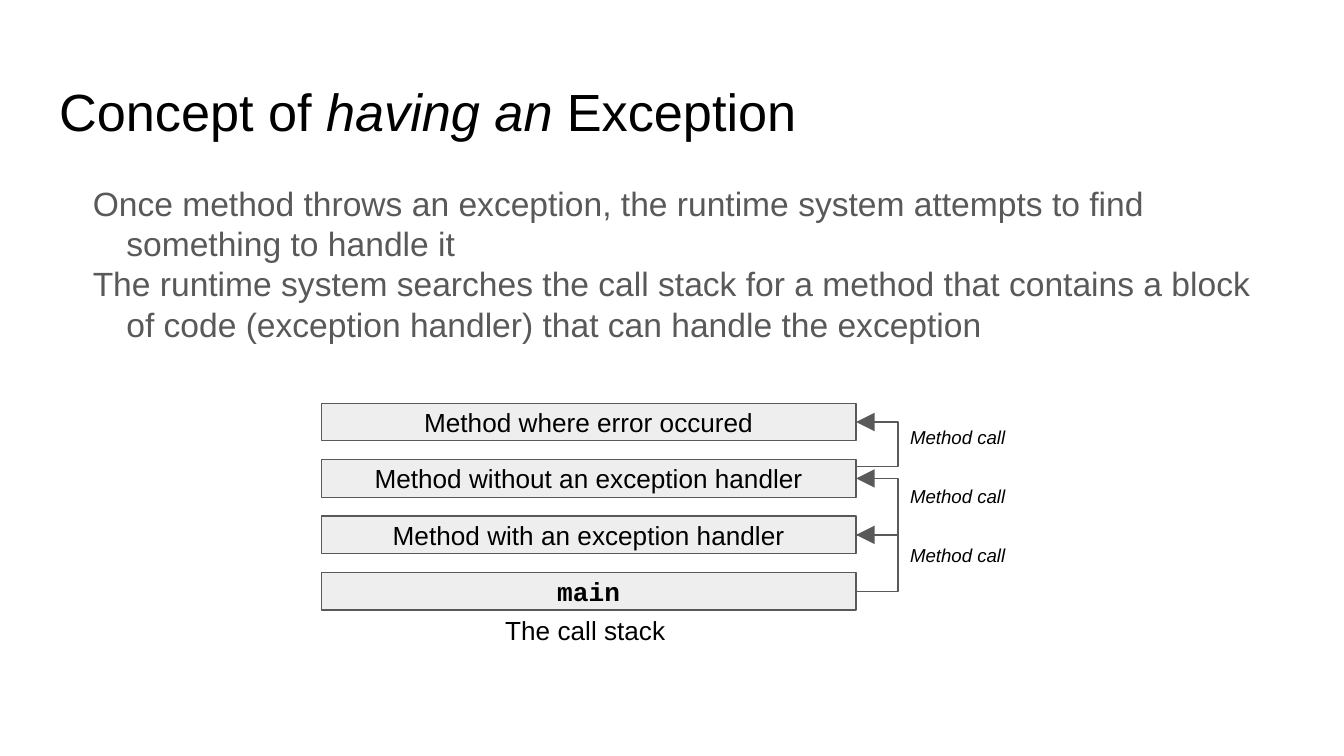
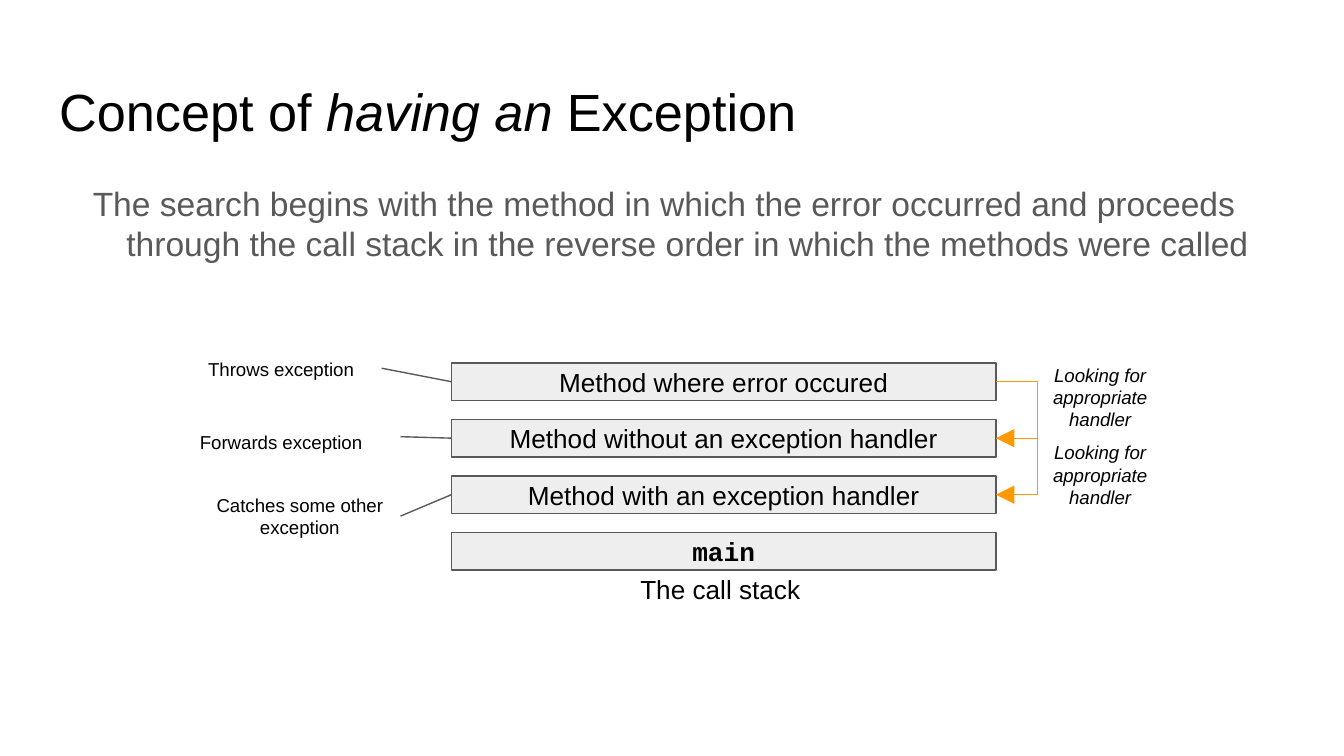
"""Build two slides on how the call stack is searched for an exception handler."""
from pptx import Presentation
from pptx.dml.color import RGBColor
from pptx.enum.shapes import MSO_CONNECTOR as Connector, MSO_SHAPE as Shape
from pptx.enum.text import MSO_ANCHOR as Anchor, PP_ALIGN as Align
from pptx.oxml.ns import qn
from pptx.util import Emu, Inches, Pt

BLACK = RGBColor(0x00, 0x00, 0x00)
GRAY = RGBColor(0x59, 0x59, 0x59)
LIGHT_GRAY = RGBColor(0xEE, 0xEE, 0xEE)
ORANGE = RGBColor(0xFF, 0x99, 0x00)

COLUMN, ROW = Inches(0.1), Inches(0.14)
MARGIN, CONTENT_WIDTH = 3.4, 93.2
BOX_HEIGHT, BOX_STEP = 2, 3
ELBOW_WIDTH, ELBOW_REACH = Emu(600), Inches(0.26)

TITLE = [("Concept of ", False), ("having an", True), (" Exception", False)]
METHODS = [
    ("Method where error occured", "Arial", False),
    ("Method without an exception handler", "Arial", False),
    ("Method with an exception handler", "Arial", False),
    ("main", "Courier New", True),
]
LOOKING = "Looking for appropriate handler"
SLIDES = [
    {
        "body": [
            "Once method throws an exception, the runtime system attempts to find "
            "something to handle it",
            "The runtime system searches the call stack for a method that contains a block "
            "of code (exception handler) that can handle the exception",
        ],
        "body_rows": 31.14,
        "stack": (23.9, 21.43, 39.8),
        "caption": (34, 19.1),
        "elbow_color": GRAY,
        "elbows": [(7, 4), (3.36, 1), (10, 7)],
        "labels": [("Method call", True, 66.4, 22.21 + 3.14 * i, 9.7) for i in range(3)],
        "pointers": [],
    },
    {
        "body": [
            "The search begins with the method in which the error occurred and proceeds "
            "through the call stack in the reverse order in which the methods were called",
        ],
        "body_rows": 6.64,
        "stack": (33.6, 19.29, 40.5),
        "caption": (43.9, 19.4),
        "elbow_color": ORANGE,
        "elbows": [(1, 4), (4, 7)],
        "labels": [
            (LOOKING, True, 76.9, 20.07, 9.9),
            (LOOKING, True, 76.9, 24.2, 9.9),
            ("Throws exception", False, 13.3, 18.6, 15.2),
            ("Forwards exception", False, 13.3, 22.45, 15.2),
            ("Catches some other exception", False, 14.7, 26.4, 15.2),
        ],
        "pointers": [(28.4, 19.57, 1), (29.8, 23.21, 4), (29.8, 27.43, 7)],
    },
]


def write(shape, text, size, font="Arial", bold=False, italic=False):
    frame = shape.text_frame
    frame.word_wrap = True
    frame.vertical_anchor = Anchor.MIDDLE
    frame.margin_left = frame.margin_right = COLUMN
    frame.margin_top = frame.margin_bottom = COLUMN
    paragraph = frame.paragraphs[0]
    paragraph.alignment = Align.CENTER
    run = paragraph.add_run()
    run.text = text
    run.font.name, run.font.size = font, Pt(size)
    run.font.bold, run.font.italic = bold, italic
    run.font.color.rgb = BLACK


def connect(slide, kind, start, end, color):
    (x1, y1), (x2, y2) = start, end
    connector = slide.shapes.add_connector(
        kind, int(COLUMN * x1), int(ROW * y1), int(COLUMN * x2), int(ROW * y2)
    )
    connector.line.color.rgb = color
    connector.line.width = Pt(0.75)
    properties = connector.element.spPr
    properties.append(properties.makeelement(qn("a:effectLst"), {}))
    return connector


presentation = Presentation()
presentation.slide_width = Inches(10)
presentation.slide_height = presentation.slide_width * 9 // 16

for content in SLIDES:
    slide = presentation.slides.add_slide(presentation.slide_layouts[1])
    title, body = slide.shapes.title, slide.placeholders[1]

    for placeholder, top, rows in ((title, 3.5, 4.5), (body, 9, content["body_rows"])):
        placeholder.left, placeholder.width = int(COLUMN * MARGIN), int(COLUMN * CONTENT_WIDTH)
        placeholder.top, placeholder.height = int(ROW * top), int(ROW * rows)
        frame = placeholder.text_frame
        frame.word_wrap = True
        frame.vertical_anchor = Anchor.TOP
        frame.margin_left = frame.margin_right = COLUMN
        frame.margin_top = frame.margin_bottom = COLUMN

    paragraph = title.text_frame.paragraphs[0]
    paragraph.alignment = Align.LEFT
    paragraph.line_spacing = 1.0
    for text, italic in TITLE:
        run = paragraph.add_run()
        run.text = text
        run.font.name, run.font.size, run.font.italic = "Arial", Pt(28), italic
        run.font.color.rgb = BLACK

    for index, text in enumerate(content["body"]):
        frame = body.text_frame
        paragraph = frame.add_paragraph() if index else frame.paragraphs[0]
        paragraph.line_spacing, paragraph.space_before = 1.0, Pt(0)
        properties = paragraph._p.get_or_add_pPr()
        properties.set("marL", str(Inches(0.5)))
        properties.set("indent", str(Inches(-0.25)))
        properties.append(properties.makeelement(qn("a:buNone"), {}))
        run = paragraph.add_run()
        run.text = text
        run.font.name, run.font.size = "Arial", Pt(18)
        run.font.color.rgb = GRAY

    left, top, width = content["stack"]
    for index, (text, font, bold) in enumerate(METHODS):
        box = slide.shapes.add_shape(
            Shape.RECTANGLE, int(COLUMN * left), int(ROW * (top + BOX_STEP * index)),
            int(COLUMN * width), int(ROW * BOX_HEIGHT),
        )
        box.shadow.inherit = False
        box.fill.solid()
        box.fill.fore_color.rgb = LIGHT_GRAY
        box.line.color.rgb = GRAY
        box.line.width = Pt(0.75)
        write(box, text, 14, font, bold)

    right = left + width
    for start, end in content["elbows"]:
        elbow = connect(
            slide, Connector.ELBOW, (right, top + start), (right, top + end),
            content["elbow_color"],
        )
        elbow.width = ELBOW_WIDTH
        guides = elbow.element.spPr.find(qn("a:prstGeom")).get_or_add_avLst()
        reach = round(ELBOW_REACH / ELBOW_WIDTH * 100000)
        guides.append(guides.makeelement(qn("a:gd"), {"name": "adj1", "fmla": f"val {reach}"}))
        line = elbow.line._get_or_add_ln()
        line.append(line.makeelement(qn("a:tailEnd"), {"type": "triangle", "w": "lg", "len": "lg"}))

    caption_left, caption_width = content["caption"]
    caption = slide.shapes.add_textbox(
        int(COLUMN * caption_left), int(ROW * (top + 11.57)), int(COLUMN * caption_width), int(ROW * 0.93)
    )
    write(caption, "The call stack", 14)

    for text, italic, label_left, label_top, label_width in content["labels"]:
        label = slide.shapes.add_textbox(
            int(COLUMN * label_left), int(ROW * label_top), int(COLUMN * label_width), int(ROW * 2.07)
        )
        write(label, text, 10, italic=italic)

    for x, y, end in content["pointers"]:
        connect(slide, Connector.STRAIGHT, (x, y), (left, top + end), GRAY)

presentation.save("out.pptx")
